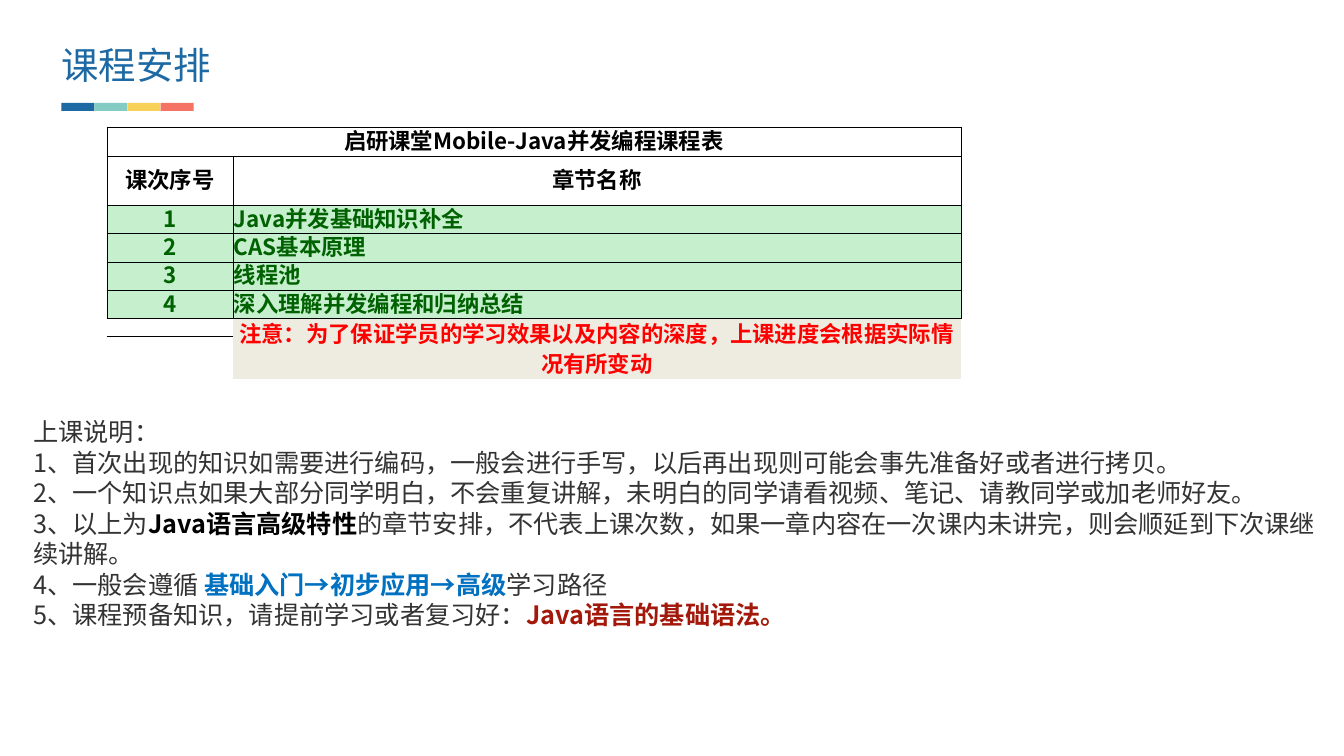
from dataclasses import dataclass

from lxml.etree import SubElement
from pptx import Presentation
from pptx.dml.color import RGBColor
from pptx.enum.shapes import MSO_SHAPE as SHAPE
from pptx.enum.text import MSO_ANCHOR as ANCHOR, MSO_AUTO_SIZE as AUTO, PP_ALIGN as ALIGN
from pptx.oxml.ns import qn
from pptx.util import Inches, Pt


@dataclass(frozen=True)
class Theme:
    font: str = "Noto Sans CJK SC"
    title_size: float = 26.7
    body_size: float = 18
    table_size: float = 16
    leading: float = 1.21
    blue: str = "1D69A3"
    strip: tuple = ("1D69A3", "84CBC3", "F8D158", "F57365")
    black: str = "000000"
    white: str = "FFFFFF"
    grey: str = "333333"
    path_blue: str = "0070C0"
    dark_red: str = "A2190B"
    lesson_text: str = "006100"
    lesson_fill: str = "C6EFCE"
    note_text: str = "FF0000"
    note_fill: str = "EEECE1"


T = Theme()
NO_TABLE_STYLE = "{2D5ABB26-0587-4C30-8999-92F81FD0307C}"
TABLE_TITLE = "启研课堂Mobile-Java并发编程课程表"
HEADINGS = ("课次序号", "章节名称")
LESSONS = ("Java并发基础知识补全", "CAS基本原理", "线程池", "深入理解并发编程和归纳总结")
NOTE = "注意：为了保证学员的学习效果以及内容的深度，上课进度会根据实际情况有所变动"
COL_WIDTHS = (1.25, 7.22)
ROW_HEIGHTS = (0.29, 0.49, 0.28, 0.28, 0.28, 0.28, 0.18, 0.42)
GUIDE = (
    (("上课说明：", T.grey, False),),
    (("1、首次出现的知识如需要进行编码，一般会进行手写，以后再出现则可能会事先准备好或者进行拷贝。", T.grey, False),),
    (("2、一个知识点如果大部分同学明白，不会重复讲解，未明白的同学请看视频、笔记、请教同学或加老师好友。", T.grey, False),),
    (("3、以上为", T.grey, False),
     ("Java语言高级特性", T.black, True),
     ("的章节安排，不代表上课次数，如果一章内容在一次课内未讲完，则会顺延到下次课继续讲解。", T.grey, False)),
    (("4、一般会遵循 ", T.grey, False),
     ("基础入门→初步应用→高级", T.path_blue, True),
     ("学习路径", T.grey, False)),
    (("5、课程预备知识，请提前学习或者复习好：", T.grey, False),
     ("Java语言的基础语法。", T.dark_red, True)),
)


def place(shape, x, y, w, h):
    shape.left, shape.top, shape.width, shape.height = map(Inches, (x, y, w, h))


def add_run(p, text, size, color, bold=False):
    r = p.add_run()
    r.text = text
    r.font.name, r.font.size, r.font.bold = T.font, Pt(size), bold
    r.font.color.rgb = RGBColor.from_string(color)
    SubElement(r.font._element, qn("a:ea"), typeface=T.font)


def add_title(s, x, y, w, h):
    title = s.shapes.title
    place(title, x, y, w, h)
    tf = title.text_frame
    tf.auto_size, tf.word_wrap, tf.vertical_anchor = AUTO.NONE, True, ANCHOR.TOP
    tf.margin_left = tf.margin_top = tf.margin_right = tf.margin_bottom = 0
    p = tf.paragraphs[0]
    p.alignment = ALIGN.LEFT
    p.line_spacing = Pt(T.title_size * T.leading)
    add_run(p, "课程安排", T.title_size, T.blue)


def add_color_strip(s, x, y, w, h):
    group = s.shapes.add_group_shape()
    step = w / len(T.strip)
    for i, color in enumerate(T.strip):
        bar = group.shapes.add_shape(
            SHAPE.RECTANGLE, Inches(x + i * step), Inches(y), Inches(step), Inches(h))
        bar.shadow.inherit = False
        bar.fill.solid()
        bar.fill.fore_color.rgb = RGBColor.from_string(color)
        bar.line.fill.background()


def set_borders(cell, sides):
    """Draw thin black lines on the given sides, in the order L, R, T, B."""
    tc_pr = cell._tc.get_or_add_tcPr()
    for i, side in enumerate(sides):
        ln = SubElement(tc_pr, qn(f"a:ln{side}"), w=str(Pt(0.5)))
        SubElement(SubElement(ln, qn("a:solidFill")), qn("a:srgbClr"), val=T.black)
        tc_pr.insert(i, ln)


def fill_cell(cell, text, color, fill, leading, align=ALIGN.CENTER):
    cell.fill.solid()
    cell.fill.fore_color.rgb = RGBColor.from_string(fill)
    p = cell.text_frame.paragraphs[0]
    p.alignment, p.line_spacing = align, Pt(leading)
    add_run(p, text, T.table_size, color, True)


def add_schedule(s, x, y, w, h):
    rows, cols = len(ROW_HEIGHTS), len(COL_WIDTHS)
    note_row = rows - 2
    table = s.shapes.add_table(
        rows, cols, Inches(x), Inches(y), Inches(w), Inches(h)).table
    table.first_row = table.horz_banding = False
    table._tbl.tblPr.find(qn("a:tableStyleId")).text = NO_TABLE_STYLE
    for column, width in zip(table.columns, COL_WIDTHS):
        column.width = Inches(width)
    for row, height in zip(table.rows, ROW_HEIGHTS):
        row.height = Inches(height)

    for i in range(rows):
        for j in range(cols):
            cell = table.cell(i, j)
            cell.vertical_anchor = ANCHOR.MIDDLE
            cell.margin_left = cell.margin_right = cell.margin_top = Inches(0.01)
            cell.margin_bottom = 0
            if i < note_row:
                set_borders(cell, "LRTB")
            elif i == note_row:
                set_borders(cell, "T")
            if i >= note_row:
                end = SubElement(cell.text_frame.paragraphs[0]._p, qn("a:endParaRPr"))
                end.set("sz", "600")

    table.cell(0, 0).merge(table.cell(0, 1))
    table.cell(note_row, 1).merge(table.cell(note_row + 1, 1))
    leading = T.table_size * T.leading
    fill_cell(table.cell(0, 0), TABLE_TITLE, T.black, T.white, leading)
    for j, heading in enumerate(HEADINGS):
        fill_cell(table.cell(1, j), heading, T.black, T.white, leading)
    for i, lesson in enumerate(LESSONS, 1):
        number, name = table.cell(i + 1, 0), table.cell(i + 1, 1)
        fill_cell(number, str(i), T.lesson_text, T.lesson_fill, leading)
        fill_cell(name, lesson, T.lesson_text, T.lesson_fill, leading, ALIGN.LEFT)
    fill_cell(table.cell(note_row, 1), NOTE, T.note_text, T.note_fill, 21)


def add_guide(s, x, y, w, h):
    body = s.placeholders[1]
    place(body, x, y, w, h)
    tf = body.text_frame
    tf.auto_size, tf.word_wrap, tf.vertical_anchor = AUTO.NONE, True, ANCHOR.TOP
    for i, runs in enumerate(GUIDE):
        p = tf.add_paragraph() if i else tf.paragraphs[0]
        p.alignment = ALIGN.LEFT
        p.space_before = p.space_after = Pt(0)
        p.line_spacing = Pt(T.body_size * T.leading)
        p_pr = p._p.get_or_add_pPr()
        p_pr.set("marL", "0")
        p_pr.set("indent", "0")
        SubElement(p_pr, qn("a:buNone"))
        for text, color, bold in runs:
            add_run(p, text, T.body_size, color, bold)


def main():
    prs = Presentation()
    prs.slide_width, prs.slide_height = Inches(13.33), Inches(7.5)
    s = prs.slides.add_slide(prs.slide_layouts[1])
    add_color_strip(s, 0.61, 1.02, 1.31, 0.08)
    add_title(s, 0.61, 0.41, 4.05, 0.45)
    add_schedule(s, 1.06, 1.26, sum(COL_WIDTHS), sum(ROW_HEIGHTS))
    add_guide(s, 0.23, 4.08, 13.1, 2.22)
    prs.save("out.pptx")


if __name__ == "__main__":
    main()
